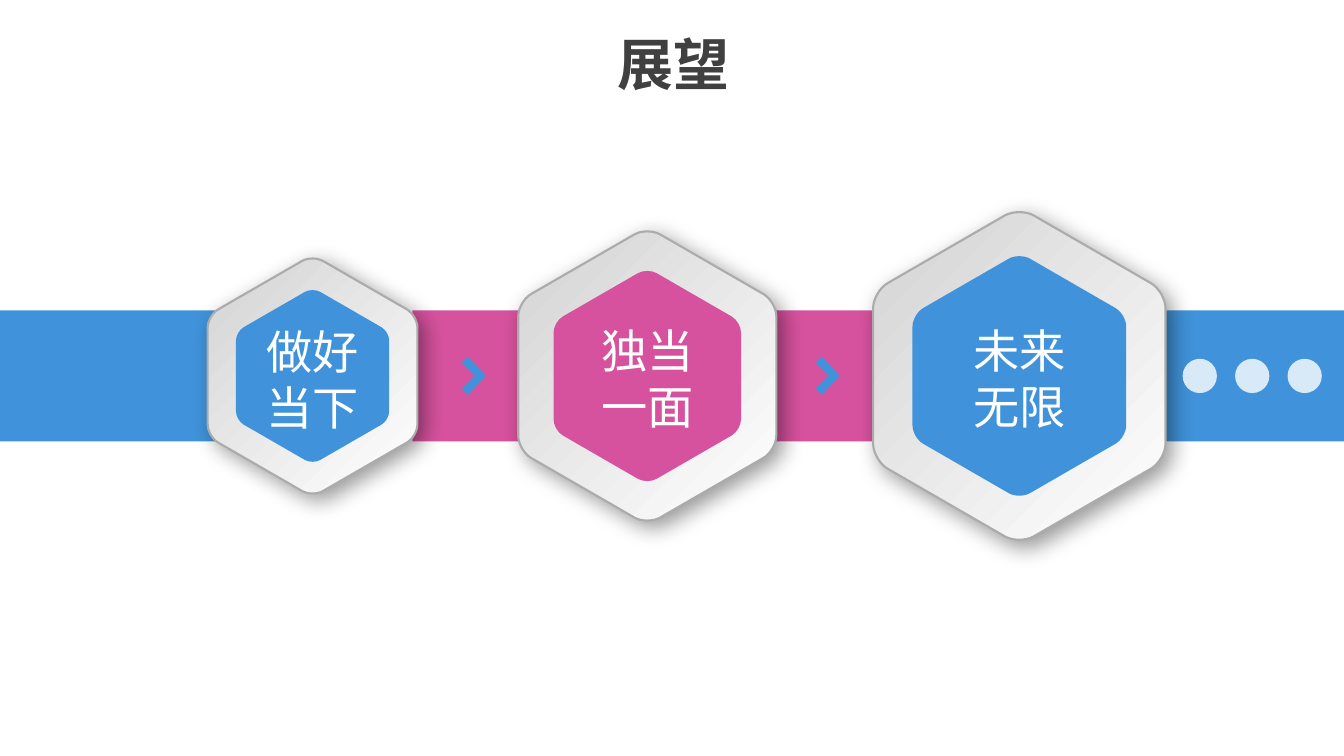
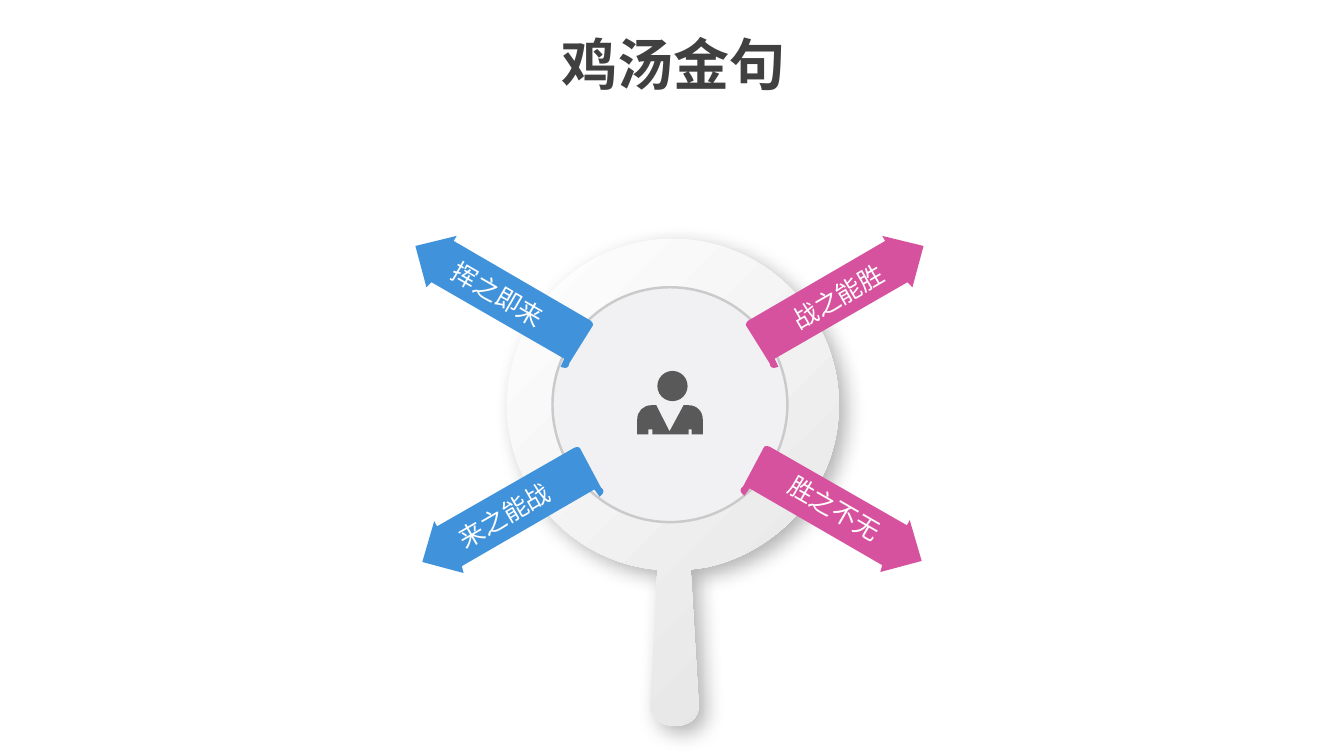
import math
from lxml import etree
from pptx import Presentation
from pptx.dml.color import RGBColor
from pptx.enum.shapes import MSO_SHAPE
from pptx.enum.text import MSO_ANCHOR, MSO_AUTO_SIZE, PP_ALIGN
from pptx.oxml.ns import qn
from pptx.util import Inches, Pt

RECTANGLE, OVAL = MSO_SHAPE.RECTANGLE, MSO_SHAPE.OVAL
MIDDLE, CENTER, NO_FIT = MSO_ANCHOR.MIDDLE, PP_ALIGN.CENTER, MSO_AUTO_SIZE.NONE
FONT = "Noto Sans CJK SC"
COLORS = {
    "blue": "4093DA", "pink": "D7529E", "white": "FFFFFF", "title": "404040",
    "icon": "595959", "rim": "ABABAB", "silver": "D3D3D3", "disk": "F1F1F3",
    "disk_line": "CACACA", "glass": "E2E2E2", "black": "000000",
}
TITLE_FORMAT = {"size": Pt(40), "bold": True}
STEP_FORMAT = {"size": Pt(33), "bold": False}
LABEL_FORMAT = {"size": Pt(18), "bold": False}

OUTLOOK_TITLE = "展望"
BAND_TOP, BAND_HEIGHT = 3.08, 1.3
BAND_MIDDLE = BAND_TOP + BAND_HEIGHT / 2
BANDS = [(4.09, 5.73, "pink"), (0, 3.42, "blue"), (10.27, 3.06, "blue")]
STEPS = [
    (["独当", "一面"], 6.42, 1.28, 0.93, "pink", 3.75),
    (["做好", "当下"], 3.1, 1.04, 0.76, "blue", 3.76),
    (["未来", "无限"], 10.11, 1.45, 1.06, "blue", 3.75),
]
CHEVRON = [(0, 0), (-0.18, -0.19), (-0.24, -0.13), (-0.11, 0), (-0.24, 0.13), (-0.18, 0.19)]
CHEVRON_TIPS = [4.82, 8.33]
DOT_SIZE, DOT_LEFT, DOT_STEP, DOT_COUNT = 0.34, 11.73, 0.52, 3

QUOTES_TITLE = "鸡汤金句"
MAGNIFIER = [
    (6.67, 2.37), (7.58, 2.37, 8.32, 3.11, 8.32, 4.02),
    (8.32, 4.81, 7.75, 5.47, 7, 5.63), (6.85, 5.65), (6.93, 7),
    (6.94, 7.28, 6.44, 7.26, 6.45, 7), (6.52, 5.65), (6.5, 5.65),
    (5.68, 5.57, 5.03, 4.87, 5.03, 4.02), (5.03, 3.11, 5.76, 2.37, 6.67, 2.37),
]
PERSON_BODY = [
    (6.43, 4.31), (6.43, 4.26), (6.47, 4.26), (6.47, 4.31), (6.83, 4.31),
    (6.83, 4.26), (6.86, 4.26), (6.86, 4.31), (6.97, 4.31), (6.97, 4.16),
    (6.97, 4.08, 6.91, 4.02, 6.83, 4.02), (6.78, 4.02), (6.64, 4.28),
    (6.51, 4.02), (6.46, 4.02), (6.38, 4.02, 6.32, 4.08, 6.32, 4.16), (6.32, 4.31),
]
ARROW_FOLD = [
    (0.63, 0.64), (0.61, 0.67, 0.59, 0.66, 0.55, 0.65),
    (0.57, 0.62, 0.57, 0.59, 0.59, 0.56), (0.64, 0.57, 0.64, 0.61, 0.63, 0.64),
]
ARROW_BODY = [
    (0.62, 0.64), (0.63, 0.6, 0.61, 0.58, 0.59, 0.57), (-0.73, -0.19),
    (-0.78, -0.14), (-0.89, -0.55), (-0.48, -0.65), (-0.51, -0.6),
    (0.83, 0.18), (0.86, 0.19, 0.88, 0.23, 0.87, 0.24),
]
ARROWS = [
    ("挥之即来", (5.01, 2.99), 1, 0, (4.94, 2.92), 30, "blue"),
    ("来之能战", (5.11, 5.08), 1, -60, (5, 5.11), -30, "blue"),
    ("战之能胜", (8.27, 2.99), -1, 0, (8.31, 2.94), -30, "pink"),
    ("胜之不无", (8.22, 5.07), -1, 60, (8.28, 5.04), 30, "pink"),
]
LABEL_WIDTH, LABEL_HEIGHT = 1.2, 0.4


def rgb(name):
    return RGBColor.from_string(COLORS[name])


def set_alpha(color_element, percent):
    etree.SubElement(color_element, qn("a:alpha"), val=str(percent * 1000))


def write_text(frame, lines, color, font_format, wrap=True):
    frame.word_wrap = wrap
    frame.auto_size = NO_FIT
    frame.vertical_anchor = MIDDLE
    for index, line in enumerate(lines):
        paragraph = frame.paragraphs[0] if index == 0 else frame.add_paragraph()
        paragraph.alignment = CENTER
        run = paragraph.add_run()
        run.text = line
        run.font.name = FONT
        run.font.color.rgb = rgb(color)
        for attribute, value in font_format.items():
            setattr(run.font, attribute, value)
        etree.SubElement(run.font._element, qn("a:ea"), typeface=FONT)


def add_text(slide, lines, center, size, color, font_format, rotation=0, wrap=True):
    left, top = center[0] - size[0] / 2, center[1] - size[1] / 2
    box = slide.shapes.add_textbox(*map(Inches, (left, top, *size)))
    box.rotation = rotation
    write_text(box.text_frame, lines, color, font_format, wrap)


def paint(shape, fill, line=None, width=1.5):
    shape.shadow.inherit = False
    if isinstance(fill, tuple):
        shape.fill.gradient()
        shape.fill.gradient_angle = 315
        for stop, color in zip(shape.fill.gradient_stops, fill):
            stop.color.rgb = rgb(color)
    else:
        shape.fill.solid()
        shape.fill.fore_color.rgb = rgb(fill)
    if line:
        shape.line.color.rgb = rgb(line)
        shape.line.width = Pt(width)
    else:
        shape.line.fill.background()


def add_preset(slide, kind, left, top, width, height, fill, line=None, line_width=1.5):
    shape = slide.shapes.add_shape(kind, *map(Inches, (left, top, width, height)))
    paint(shape, fill, line, line_width)
    return shape


def pairs(part):
    return list(zip(part[::2], part[1::2]))


def bend_curves(shape, outline):
    segments = iter(list(shape._element.iter(qn("a:lnTo"))))
    for part in outline[1:]:
        group = [next(segments) for _ in pairs(part)]
        if len(group) == 3:
            curve = etree.Element(qn("a:cubicBezTo"))
            group[0].addprevious(curve)
            for segment in group:
                curve.append(segment[0])
                segment.getparent().remove(segment)


def add_outline(slide, outline, fill, line=None):
    points = [(Inches(x), Inches(y)) for part in outline for x, y in pairs(part)]
    builder = slide.shapes.build_freeform(*points[0])
    builder.add_line_segments(points[1:], close=False)
    shape = builder.convert_to_shape()
    bend_curves(shape, outline)
    outline_element = next(shape._element.iter(qn("a:moveTo"))).getparent()
    etree.SubElement(outline_element, qn("a:close"))
    paint(shape, fill, line)
    return shape


def add_shadow(shape, alpha, blur, distance):
    effects = shape._element.spPr.find(qn("a:effectLst"))
    shadow = etree.SubElement(
        effects, qn("a:outerShdw"), blurRad=str(Pt(blur)), dist=str(Pt(distance)),
        dir="2700000", algn="tl", rotWithShape="0",
    )
    color = etree.SubElement(shadow, qn("a:srgbClr"), val=COLORS["black"])
    set_alpha(color, alpha)


def rounded_hexagon(center_x, center_y, half_width, cut=0.1, pull=0.55):
    radius = half_width / math.cos(math.radians(30))
    angles = [math.radians(60 * corner - 90) for corner in range(6)]
    corners = [
        (center_x + radius * math.cos(angle), center_y + radius * math.sin(angle))
        for angle in angles
    ]

    def toward(start, end, share):
        return tuple(a + (b - a) * share for a, b in zip(start, end))

    outline = []
    for index, corner in enumerate(corners):
        before, after = corners[index - 1], corners[(index + 1) % 6]
        entry, leave = toward(corner, before, cut), toward(corner, after, cut)
        outline.append(entry)
        outline.append(toward(entry, corner, pull) + toward(leave, corner, pull) + leave)
    return outline


def place(outline, center, mirror, turn):
    cosine, sine = math.cos(math.radians(turn)), math.sin(math.radians(turn))
    placed = []
    for part in outline:
        moved = []
        for x, y in pairs(part):
            x *= mirror
            moved += [center[0] + x * cosine - y * sine, center[1] + x * sine + y * cosine]
        placed.append(tuple(moved))
    return placed


def add_titled_slide(presentation, layout, title):
    slide = presentation.slides.add_slide(layout)
    write_text(slide.shapes.title.text_frame, [title], "title", TITLE_FORMAT)
    return slide


def build_outlook(slide):
    for left, width, color in BANDS:
        add_preset(slide, RECTANGLE, left, BAND_TOP, width, BAND_HEIGHT, color)
    for lines, center_x, outer, inner, color, text_middle in STEPS:
        frame = add_outline(
            slide, rounded_hexagon(center_x, BAND_MIDDLE, outer), ("silver", "white"), "rim")
        add_shadow(frame, 40, 16, 6)
        add_outline(slide, rounded_hexagon(center_x, BAND_MIDDLE, inner), color)
        add_text(slide, lines, (center_x, text_middle), (2.66, 1.2), "white", STEP_FORMAT)
    for tip in CHEVRON_TIPS:
        add_outline(slide, place(CHEVRON, (tip, BAND_MIDDLE), 1, 0), "blue")
    for index in range(DOT_COUNT):
        dot = add_preset(slide, OVAL, DOT_LEFT + index * DOT_STEP,
                         BAND_MIDDLE - DOT_SIZE / 2, DOT_SIZE, DOT_SIZE, "white")
        set_alpha(dot._element.spPr.find(qn("a:solidFill"))[0], 80)


def build_quotes(slide):
    add_shadow(add_outline(slide, MAGNIFIER, ("white", "glass")), 30, 15, 7)
    add_preset(slide, OVAL, 5.48, 2.85, 2.33, 2.33, "disk", "disk_line", 1.75)
    add_preset(slide, OVAL, 6.52, 3.68, 0.3, 0.3, "icon")
    add_outline(slide, PERSON_BODY, "icon")
    for label, center, mirror, turn, label_center, rotation, color in ARROWS:
        for outline in (ARROW_FOLD, ARROW_BODY):
            add_outline(slide, place(outline, center, mirror, turn), color)
        add_text(slide, [label], label_center, (LABEL_WIDTH, LABEL_HEIGHT), "white",
                 LABEL_FORMAT, rotation, wrap=False)


def main():
    presentation = Presentation()
    presentation.slide_width, presentation.slide_height = Inches(13.33), Inches(7.5)
    layout = presentation.slide_layouts[5]
    title = layout.placeholders[0]
    title.left, title.top, title.width, title.height = map(Inches, (0.68, 0.24, 12, 0.77))
    build_outlook(add_titled_slide(presentation, layout, OUTLOOK_TITLE))
    build_quotes(add_titled_slide(presentation, layout, QUOTES_TITLE))
    presentation.save("out.pptx")


if __name__ == "__main__":
    main()
